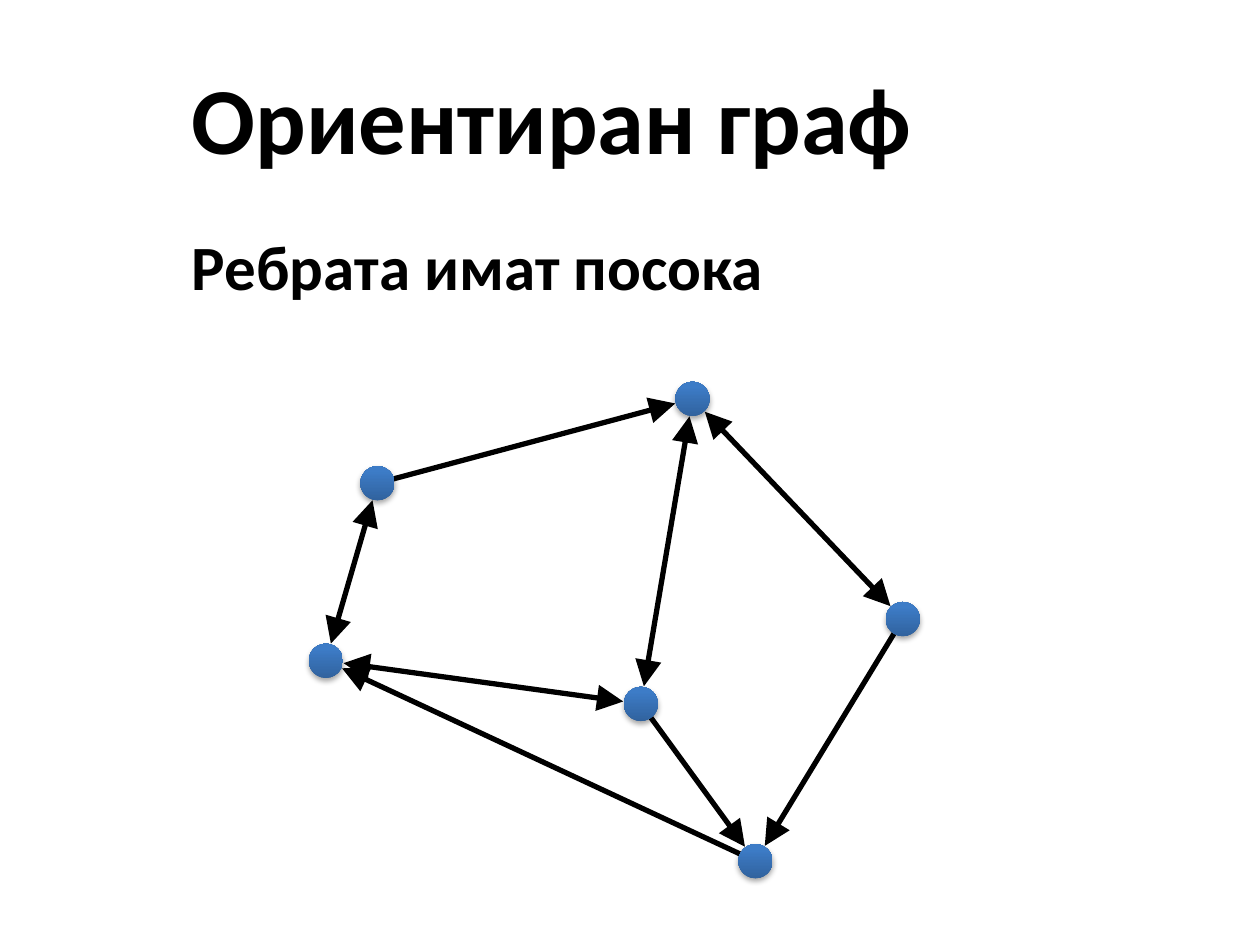
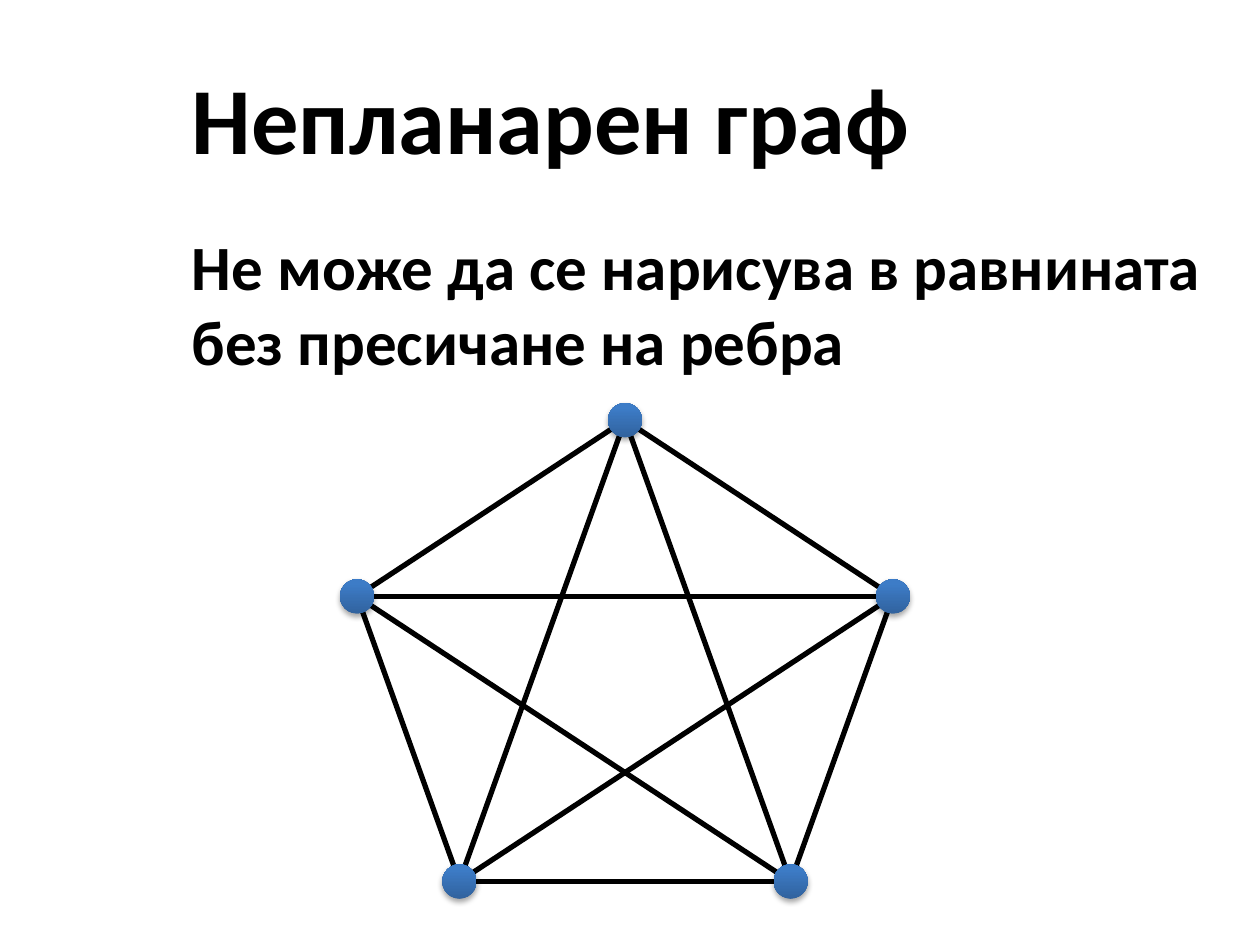
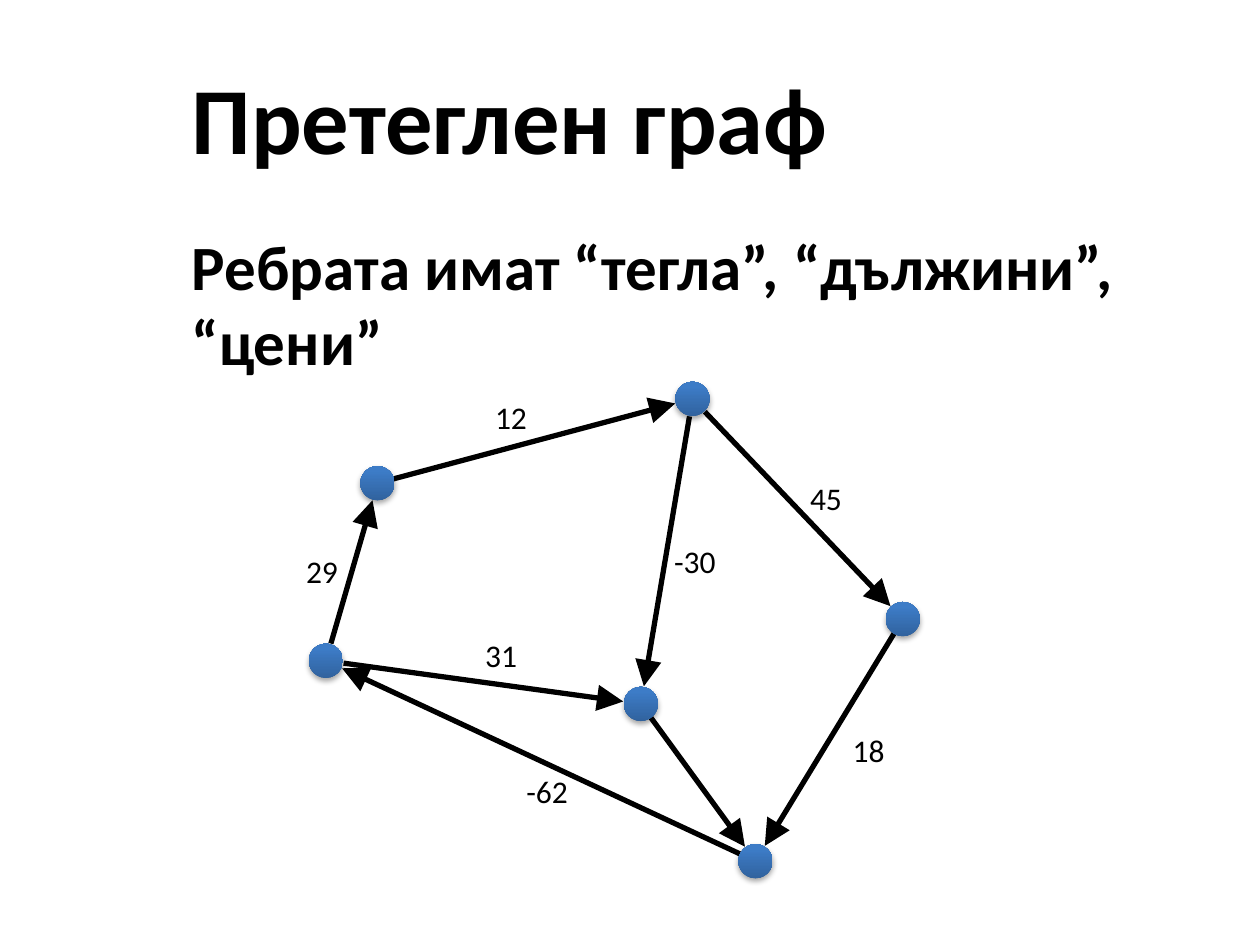
"""Build three slides on directed, non-planar and weighted graphs."""
import copy
import itertools
import math
from typing import NamedTuple

import pptx
import pptx.dml.color
import pptx.enum.shapes
import pptx.enum.text
import pptx.oxml
import pptx.oxml.ns
import pptx.presentation
import pptx.slide
import pptx.text.text
import pptx.util
from lxml import etree

Cm = pptx.util.Cm
Pt = pptx.util.Pt
qn = pptx.oxml.ns.qn
RGBColor = pptx.dml.color.RGBColor

BLACK = RGBColor(0x00, 0x00, 0x00)
NODE_STOPS = (
    (0.0, RGBColor(0x2F, 0x5F, 0x99)),
    (0.8, RGBColor(0x3D, 0x7C, 0xC7)),
    (1.0, RGBColor(0x3A, 0x7C, 0xCB)),
)
FONT = "Calibri"
NODE_SIZE = 0.69
ARROW_GAP = 0.36
NODE_SHADOW = (
    f'<a:outerShdw {pptx.oxml.ns.nsdecls("a")} blurRad="40000" dist="23000" '
    'dir="5400000" rotWithShape="0"><a:srgbClr val="000000">'
    '<a:alpha val="35000"/></a:srgbClr></a:outerShdw>'
)


class Point(NamedTuple):
    x: float
    y: float


class Box(NamedTuple):
    left: float
    top: float
    width: float
    height: float


class Edge(NamedTuple):
    start: str
    end: str
    two_way: bool
    weight: str = ""
    label: Point = Point(0, 0)


TITLE_BOX = Box(3.61, 0.76, 21.79, 3.18)
BODY_BOX = Box(3.61, 4.45, 21.79, 14.17)

NODES = {
    "upper left": Point(7.61, 9.74),
    "top": Point(13.96, 8.04),
    "right": Point(18.2, 12.48),
    "middle": Point(12.92, 14.19),
    "bottom": Point(15.23, 17.36),
    "left": Point(6.57, 13.32),
}
EDGES = (
    Edge("left", "upper left", True, "29", Point(5.92, 11)),
    Edge("left", "middle", True, "31", Point(9.53, 12.7)),
    Edge("bottom", "left", False, "-62", Point(10.36, 15.44)),
    Edge("upper left", "top", False, "12", Point(9.73, 7.9)),
    Edge("top", "middle", True, "-30", Point(13.34, 10.8)),
    Edge("top", "right", True, "45", Point(16.08, 9.53)),
    Edge("right", "bottom", False, "18", Point(16.94, 14.61)),
    Edge("middle", "bottom", False),
)
PENTAGON_CENTER = Point(12.6, 13.61)
PENTAGON_RADII = Point(5.68, 5.14)


def format_text(paragraph: pptx.text.text._Paragraph, size: int, bold: bool) -> None:
    paragraph.alignment = pptx.enum.text.PP_ALIGN.LEFT
    for run in paragraph.runs:
        run.font.name = FONT
        run.font.size = Pt(size)
        run.font.bold = bold
        run.font.color.rgb = BLACK


def fill_placeholder(placeholder, box: Box, text: str, size: int) -> None:
    placeholder.left, placeholder.top, placeholder.width, placeholder.height = map(Cm, box)
    frame = placeholder.text_frame
    frame.text = text
    frame.auto_size = pptx.enum.text.MSO_AUTO_SIZE.NONE
    format_text(frame.paragraphs[0], size, True)


def add_graph_slide(
    presentation: pptx.presentation.Presentation, title: str, statement: str
) -> pptx.slide.Slide:
    slide = presentation.slides.add_slide(presentation.slide_layouts[1])
    fill_placeholder(slide.shapes.title, TITLE_BOX, title, 54)
    body = slide.placeholders[1]
    fill_placeholder(body, BODY_BOX, statement, 36)
    paragraph = body.text_frame.paragraphs[0]
    paragraph.space_before = Pt(0)
    properties = paragraph._p.get_or_add_pPr()
    properties.set("marL", "0")
    properties.set("indent", "0")
    etree.SubElement(properties, qn("a:buNone"))
    return slide


def toward(origin: Point, target: Point, distance: float) -> Point:
    share = distance / math.dist(origin, target)
    return Point(
        origin.x + (target.x - origin.x) * share,
        origin.y + (target.y - origin.y) * share,
    )


def add_line(
    slide: pptx.slide.Slide, start: Point, end: Point, arrows: tuple[str, ...] = ()
) -> None:
    connector = slide.shapes.add_connector(
        pptx.enum.shapes.MSO_CONNECTOR.STRAIGHT, *map(Cm, (*start, *end))
    )
    connector.line.color.rgb = BLACK
    connector.line.width = Pt(3)
    properties = connector.element.spPr
    line = properties.find(qn("a:ln"))
    for arrow in arrows:
        etree.SubElement(line, qn(arrow), type="triangle", w="lg", len="lg")
    etree.SubElement(properties, qn("a:effectLst"))


def add_node(slide: pptx.slide.Slide, center: Point) -> None:
    node = slide.shapes.add_shape(
        pptx.enum.shapes.MSO_SHAPE.OVAL,
        Cm(center.x - NODE_SIZE / 2),
        Cm(center.y - NODE_SIZE / 2),
        Cm(NODE_SIZE),
        Cm(NODE_SIZE),
    )
    node.rotation = 345
    node.line.fill.background()
    node.fill.gradient()
    node.fill.gradient_angle = 90
    gradient = node.element.spPr.find(qn("a:gradFill"))
    gradient.set("rotWithShape", "0")
    stop_list = gradient.find(qn("a:gsLst"))
    stop_list.append(copy.deepcopy(stop_list[-1]))
    for stop, (position, color) in zip(node.fill.gradient_stops, NODE_STOPS):
        stop.position = position
        stop.color.rgb = color
    node.shadow.inherit = False
    effects = node.element.spPr.find(qn("a:effectLst"))
    effects.append(pptx.oxml.parse_xml(NODE_SHADOW))


def add_weight(slide: pptx.slide.Slide, weight: str, corner: Point) -> None:
    width = 0.77 + 0.2 * len(weight)
    label = slide.shapes.add_textbox(*map(Cm, (*corner, width, 1.02)))
    frame = label.text_frame
    frame.text = weight
    frame.word_wrap = False
    frame.auto_size = pptx.enum.text.MSO_AUTO_SIZE.SHAPE_TO_FIT_TEXT
    format_text(frame.paragraphs[0], 18, False)


def draw_directed_graph(slide: pptx.slide.Slide, weighted: bool) -> None:
    for edge in EDGES:
        start, end = NODES[edge.start], NODES[edge.end]
        two_headed = edge.two_way and not weighted
        add_line(
            slide,
            toward(start, end, ARROW_GAP) if edge.two_way else start,
            toward(end, start, ARROW_GAP),
            ("a:headEnd", "a:tailEnd") if two_headed else ("a:tailEnd",),
        )
    for center in NODES.values():
        add_node(slide, center)
    if weighted:
        for edge in EDGES:
            if edge.weight:
                add_weight(slide, edge.weight, edge.label)


def draw_complete_graph(slide: pptx.slide.Slide) -> None:
    angles = [math.tau * corner / 5 for corner in range(5)]
    corners = [
        Point(
            PENTAGON_CENTER.x + PENTAGON_RADII.x * math.sin(angle),
            PENTAGON_CENTER.y - PENTAGON_RADII.y * math.cos(angle),
        )
        for angle in angles
    ]
    for start, end in itertools.combinations(corners, 2):
        add_line(slide, start, end)
    for corner in corners:
        add_node(slide, corner)


def main() -> None:
    presentation = pptx.Presentation()
    presentation.slide_width = Cm(25.4)
    presentation.slide_height = Cm(19.05)

    directed = add_graph_slide(presentation, "Ориентиран граф", "Ребрата имат посока")
    draw_directed_graph(directed, weighted=False)

    non_planar = add_graph_slide(
        presentation,
        "Непланарен граф",
        "Не може да се нарисува в равнината без пресичане на ребра",
    )
    draw_complete_graph(non_planar)

    weighted = add_graph_slide(
        presentation, "Претеглен граф", "Ребрата имат “тегла”, “дължини”, “цени”"
    )
    draw_directed_graph(weighted, weighted=True)

    presentation.save("out.pptx")


if __name__ == "__main__":
    main()
